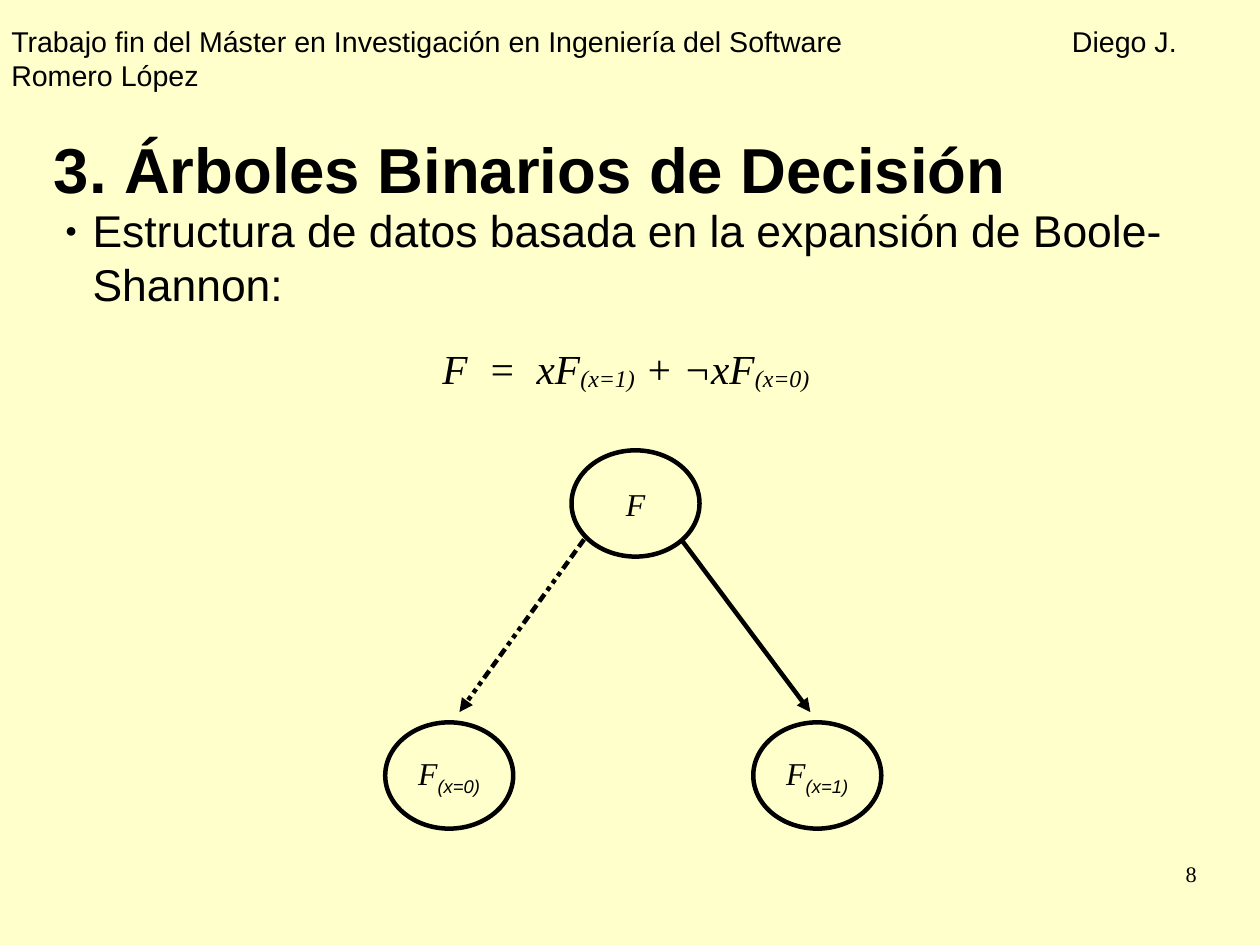
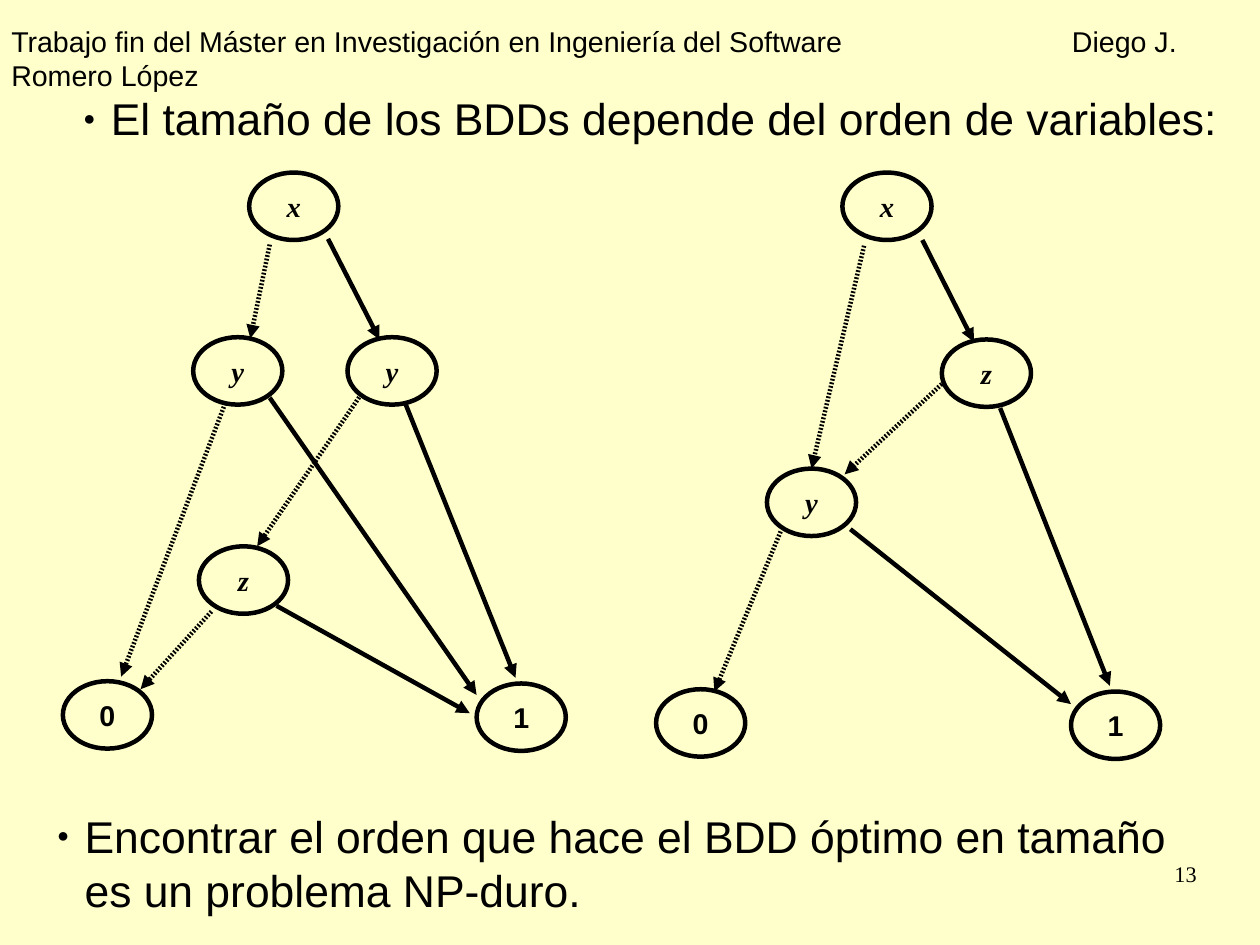
import dataclasses

import lxml.etree
import pptx
import pptx.dml.color
import pptx.enum.shapes
import pptx.enum.text
import pptx.oxml.ns
import pptx.util

Inches = pptx.util.Inches
Pt = pptx.util.Pt
qn = pptx.oxml.ns.qn
ALIGN = pptx.enum.text.PP_ALIGN
ANCHOR = pptx.enum.text.MSO_ANCHOR
FIT = pptx.enum.text.MSO_AUTO_SIZE


@dataclasses.dataclass(frozen=True)
class Theme:
    paper: pptx.dml.color.RGBColor = pptx.dml.color.RGBColor(0xFF, 0xFF, 0xCC)
    ink: pptx.dml.color.RGBColor = pptx.dml.color.RGBColor(0, 0, 0)
    sans: str = "Arial"
    serif: str = "Times New Roman"
    title: int = 40
    body: int = 28
    formula: int = 26
    branch: int = 20
    node: int = 18
    header: int = 18
    number: int = 14
    stroke: float = 2.83


theme = Theme()


def write(shape, runs, size, align=ALIGN.LEFT, bold=False, italic=False,
          inset=(0.1, 0.05), fit=FIT.SHAPE_TO_FIT_TEXT, wrap=True):
    frame = shape.text_frame
    frame.word_wrap = wrap
    frame.auto_size = fit
    frame.margin_left = frame.margin_right = Inches(inset[0])
    frame.margin_top = frame.margin_bottom = Inches(inset[1])
    paragraph = frame.paragraphs[0]
    paragraph.alignment = align
    paragraph.space_before = Pt(0)
    for text, face, baseline in runs:
        run = paragraph.add_run()
        run.text = text
        run.font.name = face
        run.font.size = Pt(size)
        run.font.bold = bold
        run.font.italic = italic
        run.font.color.rgb = theme.ink
        if baseline:
            run._r.get_or_add_rPr().set("baseline", str(baseline * 1000))
    return paragraph


def place(shape, left, top, width, height):
    shape.left, shape.top = Inches(left), Inches(top)
    shape.width, shape.height = Inches(width), Inches(height)
    return shape


deck = pptx.Presentation()
deck.slide_width, deck.slide_height = Inches(28 / 2.54), Inches(21 / 2.54)
master = deck.slide_master
master.background.fill.solid()
master.background.fill.fore_color.rgb = theme.paper

expansion = deck.slides.add_slide(deck.slide_layouts[1])
ordering = deck.slides.add_slide(deck.slide_layouts[3])

header = place(expansion.shapes.add_textbox(0, 0, 0, 0), 0, 0.16, 11.02, 0.6)
header_line = write(header, [
    ("Trabajo fin del Máster en Investigación en Ingeniería del Software\tDiego J. Romero López",
     theme.sans, 0)], theme.header)
header_tabs = lxml.etree.SubElement(header_line._p.get_or_add_pPr(), qn("a:tabLst"))
lxml.etree.SubElement(header_tabs, qn("a:tab"), pos=str(Inches(9.28)), algn="l")
master.shapes.element.append(header.element)

title = place(expansion.shapes.title, 0.47, 0.52, 8.82, 1.24)
title.text_frame.vertical_anchor = ANCHOR.MIDDLE
write(title, [("3. Árboles Binarios de Decisión", theme.sans, 0)],
      theme.title, bold=True, inset=(0, 0)).line_spacing = 2.0
unused_title = ordering.shapes.title.element
unused_title.getparent().remove(unused_title)

points = [
    (expansion, 1, (0.47, 1.73, 9.99, 0.89),
     "Estructura de datos basada en la expansión de Boole-Shannon:"),
    (ordering, 1, (0.63, 0.75, 10.16, 0.5),
     "El tamaño de los BDDs depende del orden de variables:"),
    (ordering, 2, (0.4, 7.03, 9.99, 0.89),
     "Encontrar el orden que hace el BDD óptimo en tamaño es un problema NP-duro."),
]
for slide, index, area, sentence in points:
    point = place(slide.placeholders[index], *area)
    layout = point.text_frame.paragraphs[0]._p.get_or_add_pPr()
    layout.set("marL", str(Inches(0.24)))
    layout.set("indent", str(Inches(-0.24)))
    bullet_color = lxml.etree.SubElement(layout, qn("a:buClr"))
    lxml.etree.SubElement(bullet_color, qn("a:srgbClr"), val=str(theme.ink))
    lxml.etree.SubElement(layout, qn("a:buSzPct"), val="45000")
    lxml.etree.SubElement(layout, qn("a:buChar"), char="●")
    write(point, [(sentence, theme.sans, 0)], theme.body)

formula = place(expansion.shapes.add_textbox(0, 0, 0, 0), 0.79, 2.95, 9.37, 0.63)
write(formula, [
    ("F  =  xF", theme.serif, 0), ("(x=1)", theme.serif, -8),
    (" + ¬xF", theme.serif, 0), ("(x=0)", theme.serif, -8),
], theme.formula, ALIGN.CENTER, italic=True)

solid = []
dash_dots = [(200, 100)] * 3 + [(100, 100)] * 3
fine_dots = [(40, 40)]
edges = [
    (expansion, solid, [(5.96, 4.72, 7.09, 6.23)]),
    (expansion, dash_dots, [(5.11, 4.72, 4.02, 6.23)]),
    (ordering, solid, [
        (2.87, 2.09, 3.32, 2.97), (2.36, 3.48, 4.17, 6.08),
        (3.55, 3.54, 4.51, 5.93), (2.42, 5.3, 4.11, 6.24),
        (8.07, 2.1, 8.52, 2.99), (7.44, 4.63, 9.37, 6.16),
        (8.75, 3.57, 9.71, 6)]),
    (ordering, fine_dots, [
        (2.36, 2.14, 2.19, 2.96), (3.16, 3.45, 2.25, 4.78),
        (1.97, 3.53, 1.06, 5.92), (1.85, 5.35, 1.23, 6.03),
        (7.56, 2.15, 7.1, 4.1), (6.83, 4.65, 6.25, 6.05),
        (8.24, 3.36, 7.39, 4.15)]),
]
for slide, dashes, spans in edges:
    for span in spans:
        edge = slide.shapes.add_connector(
            pptx.enum.shapes.MSO_CONNECTOR.STRAIGHT, *map(Inches, span))
        edge.line.color.rgb = theme.ink
        edge.line.width = Pt(theme.stroke)
        stroke = edge.get_or_add_ln()
        if dashes:
            pattern = lxml.etree.SubElement(stroke, qn("a:custDash"))
            for dash, gap in dashes:
                lxml.etree.SubElement(pattern, qn("a:ds"),
                                      d=str(dash * 1000), sp=str(gap * 1000))
        lxml.etree.SubElement(stroke, qn("a:tailEnd"), type="triangle")
        lxml.etree.SubElement(edge.element.spPr, qn("a:effectLst"))

branches = [(5, 3.94, ""), (3.37, 6.32, "(x=0)"), (6.59, 6.32, "(x=1)")]
variables = [
    (2.18, 1.51, "x"), (1.69, 2.95, "y"), (3.04, 2.95, "y"), (1.74, 4.78, "z"),
    (0.55, 5.96, "0"), (4.17, 5.98, "1"),
    (7.37, 1.51, "x"), (8.24, 2.97, "z"), (6.71, 4.1, "y"),
    (5.74, 6.03, "0"), (9.37, 6.05, "1"),
]
nodes = []
for left, top, condition in branches:
    label = [("F", theme.serif, 0)]
    if condition:
        label.append((condition, theme.sans, -25))
    nodes.append((expansion, (left, top, 1.12, 0.93), label, theme.branch, False, True))
for left, top, symbol in variables:
    terminal = symbol in "01"
    label = [(symbol, theme.sans if terminal else theme.serif, 0)]
    nodes.append((ordering, (left, top, 0.78, 0.59), label, theme.node, True, not terminal))

for slide, area, label, size, bold, italic in nodes:
    node = slide.shapes.add_shape(
        pptx.enum.shapes.MSO_SHAPE.OVAL, *map(Inches, area))
    node.shadow.inherit = False
    node.fill.background()
    node.line.color.rgb = theme.ink
    node.line.width = Pt(theme.stroke)
    node.text_frame.vertical_anchor = ANCHOR.MIDDLE
    write(node, label, size, ALIGN.CENTER, bold, italic,
          inset=(0.12, 0.07), fit=FIT.NONE, wrap=False)

for slide, page in ((expansion, "8"), (ordering, "13")):
    number = place(slide.shapes.add_textbox(0, 0, 0, 0), 7.9, 7.53, 2.57, 0.57)
    write(number, [(page, theme.serif, 0)], theme.number, ALIGN.RIGHT,
          inset=(0, 0), fit=FIT.NONE)

deck.save("out.pptx")
